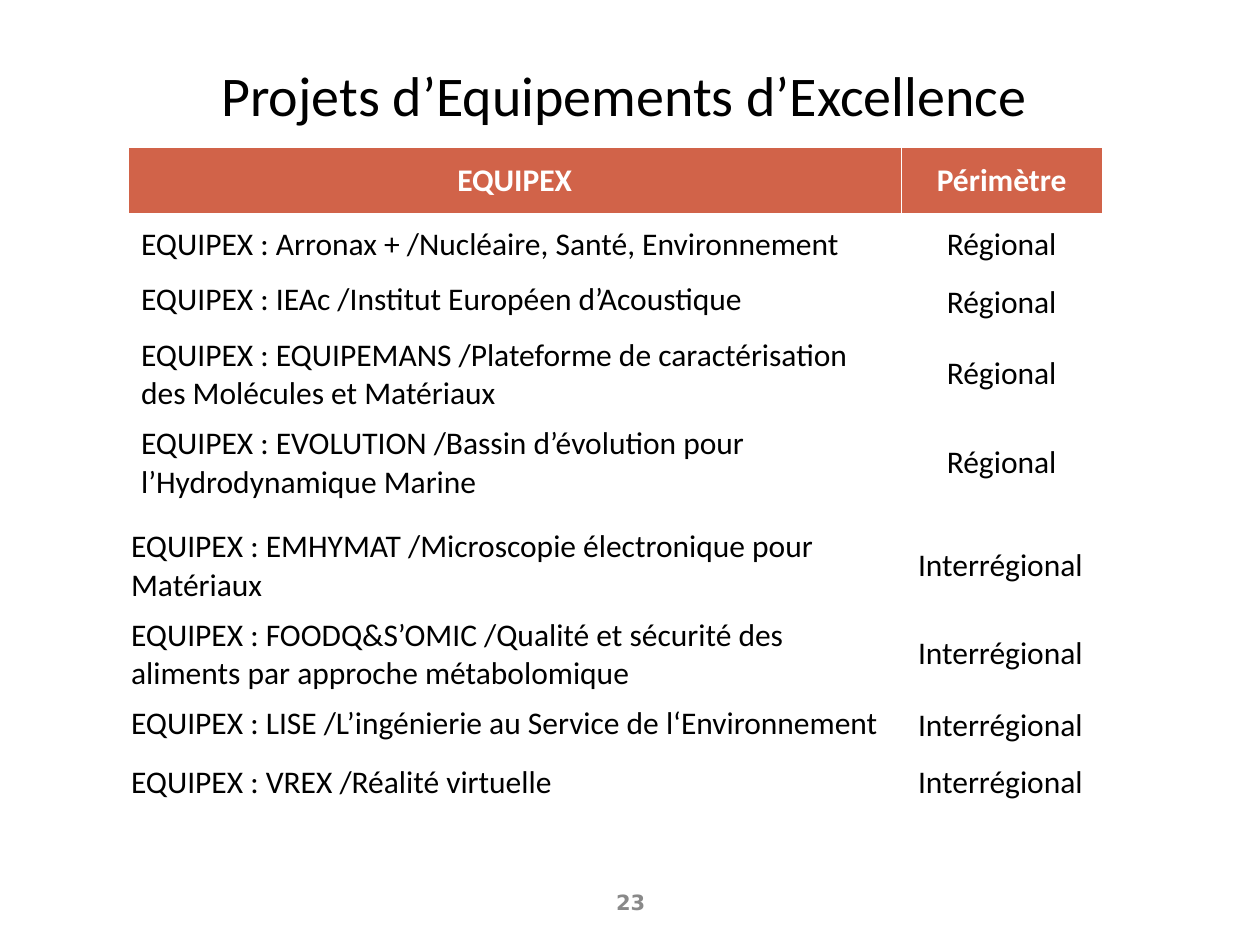
from dataclasses import dataclass

from lxml.etree import SubElement
from pptx import Presentation
from pptx.dml.color import RGBColor
from pptx.enum.text import MSO_ANCHOR as Anchor, PP_ALIGN as Align
from pptx.oxml.ns import qn
from pptx.util import Inches, Pt


@dataclass(frozen=True)
class Theme:
    font: str = "Calibri"
    number_font: str = "DejaVu Sans"
    ink: str = "000000"
    paper: str = "FFFFFF"
    header: str = "D16349"
    muted: str = "898989"
    title_size: int = 32
    table_size: int = 18
    number_size: int = 12
    thin_rule: float = 0.45
    heavy_rule: float = 1.47


THEME = Theme()

# Content: each row is (project, scope, height, anchor of the project)
TITLE = "Projets d’Equipements d’Excellence"
PAGE_NUMBER = "23"
MID, TOP = Anchor.MIDDLE, Anchor.TOP

REGIONAL = {
    "origin": (1.02, 1.17),
    "columns": (6.13, 1.6),
    "has_header": True,
    "heavy_rules": (1, 2),
    "rows": [
        ("EQUIPEX", "Périmètre", 0.53, MID),
        ("EQUIPEX : Arronax + /Nucléaire, Santé, Environnement", "Régional", 0.48, MID),
        ("EQUIPEX : IEAc /Institut Européen d’Acoustique", "Régional", 0.44, TOP),
        ("EQUIPEX : EQUIPEMANS /Plateforme de caractérisation des Molécules et Matériaux",
         "Régional", 0.7, TOP),
        ("EQUIPEX : EVOLUTION /Bassin d’évolution pour l’Hydrodynamique Marine",
         "Régional", 0.7, MID),
    ],
}
INTERREGIONAL = {
    "origin": (0.94, 4.14),
    "columns": (6.19, 1.62),
    "has_header": False,
    "heavy_rules": (0, 1),
    "rows": [
        ("EQUIPEX : EMHYMAT /Microscopie électronique pour Matériaux",
         "Interrégional", 0.7, MID),
        ("EQUIPEX : FOODQ&S’OMIC /Qualité et sécurité des aliments par approche métabolomique",
         "Interrégional", 0.7, TOP),
        ("EQUIPEX : LISE /L’ingénierie au Service de l‘Environnement",
         "Interrégional", 0.44, TOP),
        ("EQUIPEX : VREX /Réalité virtuelle", "Interrégional", 0.46, MID),
    ],
}


def style(paragraph, size, color, align, font=THEME.font, bold=False):
    paragraph.alignment = align
    paragraph.font.name = font
    paragraph.font.size = Pt(size)
    paragraph.font.bold = bold
    paragraph.font.color.rgb = RGBColor.from_string(color)


def add_text(slide, text, box, margins, size, color, **font):
    frame = slide.shapes.add_textbox(*map(Inches, box)).text_frame
    frame.word_wrap = True
    frame.vertical_anchor = MID
    frame.margin_left = frame.margin_right = Inches(margins[0])
    frame.margin_top = frame.margin_bottom = Inches(margins[1])
    paragraph = frame.paragraphs[0]
    paragraph.text = text
    style(paragraph, size, color, Align.CENTER, **font)
    return paragraph


def set_borders(cell, top, bottom):
    properties = cell._tc.get_or_add_tcPr()
    widths = {"lnL": THEME.thin_rule, "lnR": THEME.thin_rule, "lnT": top, "lnB": bottom}
    for position, (side, width) in enumerate(widths.items()):
        line = properties.makeelement(qn(f"a:{side}"), {"w": str(int(Pt(width)))})
        fill = SubElement(line, qn("a:solidFill"))
        SubElement(fill, qn("a:srgbClr"), val=THEME.paper)
        properties.insert(position, line)  # borders come before the fill


def add_projects(slide, group):
    rows, columns = group["rows"], group["columns"]
    size = sum(columns), sum(height for _, _, height, _ in rows)
    table = slide.shapes.add_table(
        len(rows), len(columns), *map(Inches, group["origin"] + size)).table
    table.first_row = group["has_header"]
    table.horz_banding = False
    for column, width in zip(table.columns, columns):
        column.width = Inches(width)

    # Weight of each horizontal rule, from the top edge to the bottom edge
    rules = [THEME.heavy_rule if i in group["heavy_rules"] else THEME.thin_rule
             for i in range(len(rows) + 1)]

    for r, (project, scope, height, anchor) in enumerate(rows):
        table.rows[r].height = Inches(height)
        is_header = group["has_header"] and r == 0
        project_align = Align.CENTER if is_header else Align.LEFT
        entries = (project, project_align, anchor), (scope, Align.CENTER, MID)
        for cell, (text, align, cell_anchor) in zip(table.rows[r].cells, entries):
            cell.text = text
            cell.vertical_anchor = cell_anchor
            cell.fill.solid()
            cell.fill.fore_color.rgb = RGBColor.from_string(
                THEME.header if is_header else THEME.paper)
            style(cell.text_frame.paragraphs[0], THEME.table_size,
                  THEME.paper if is_header else THEME.ink, align, bold=is_header)
            set_borders(cell, rules[r], rules[r + 1])


def main():
    deck = Presentation()
    deck.slide_width, deck.slide_height = Inches(10), Inches(7.5)
    slide = deck.slides.add_slide(deck.slide_layouts[6])

    # Page number and title
    number = add_text(slide, PAGE_NUMBER, (3.42, 6.95, 3.17, 0.4), (0.1, 0.05),
                      THEME.number_size, THEME.muted, font=THEME.number_font, bold=True)
    number.line_spacing = 1.1
    add_text(slide, TITLE, (1.09, 0.53, 7.73, 0.43), (0, 0), THEME.title_size, THEME.ink)

    # Project tables
    for group in (REGIONAL, INTERREGIONAL):
        add_projects(slide, group)

    deck.save("out.pptx")


if __name__ == "__main__":
    main()
